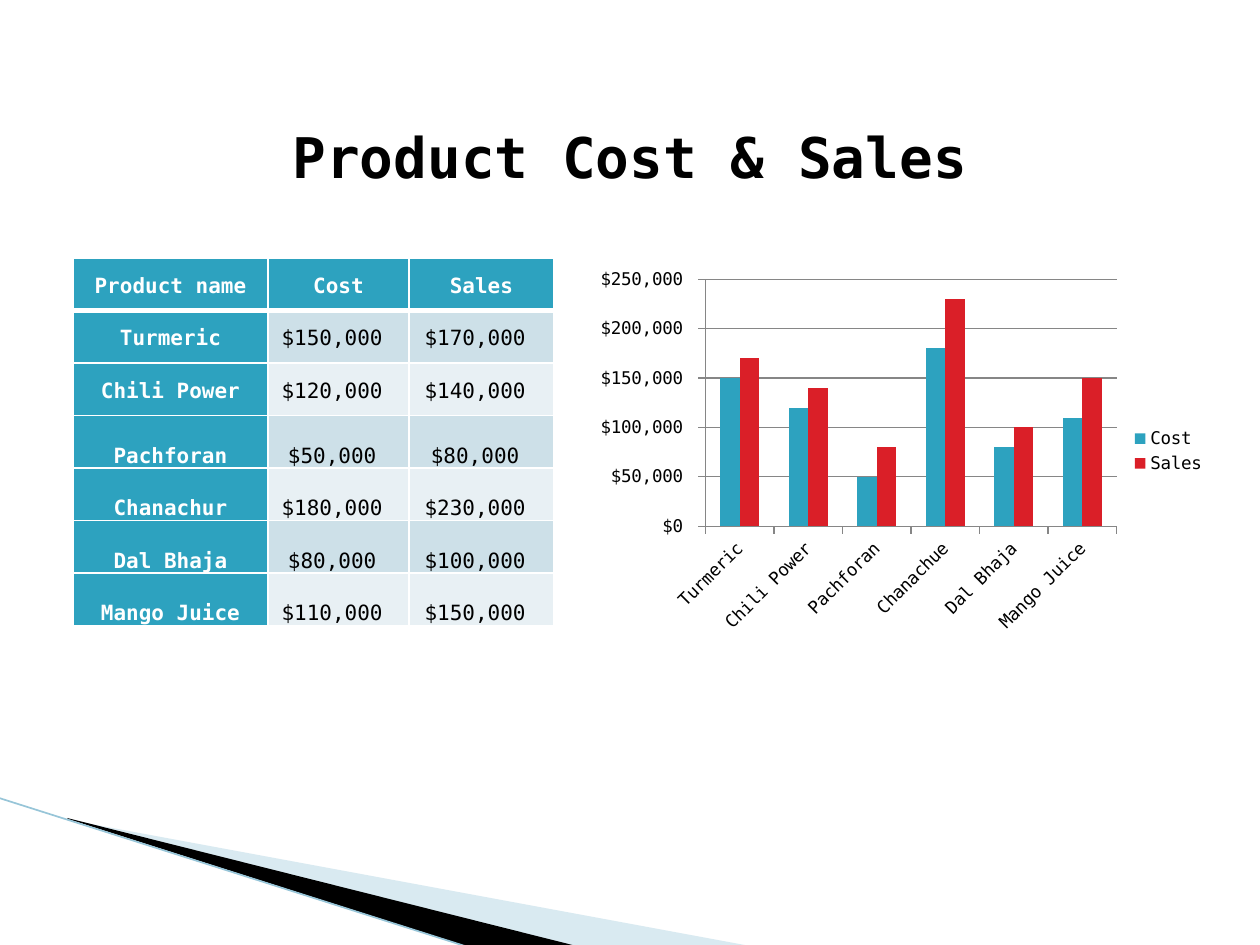
from dataclasses import dataclass

from lxml import etree
from pptx import Presentation
from pptx.chart.data import CategoryChartData
from pptx.dml.color import RGBColor
from pptx.enum.chart import XL_CHART_TYPE, XL_LEGEND_POSITION, XL_TICK_MARK
from pptx.enum.shapes import MSO_CONNECTOR
from pptx.enum.text import MSO_ANCHOR, MSO_AUTO_SIZE, PP_ALIGN
from pptx.oxml.ns import qn
from pptx.util import Pt

COLUMNS = XL_CHART_TYPE.COLUMN_CLUSTERED
LEGEND_RIGHT = XL_LEGEND_POSITION.RIGHT
TICK_OUT = XL_TICK_MARK.OUTSIDE
STRAIGHT = MSO_CONNECTOR.STRAIGHT
MIDDLE, BOTTOM = MSO_ANCHOR.MIDDLE, MSO_ANCHOR.BOTTOM
GROW = MSO_AUTO_SIZE.SHAPE_TO_FIT_TEXT
CENTER = PP_ALIGN.CENTER
PX = 914400 / 126


@dataclass(frozen=True)
class Theme:
    font: str = "DejaVu Sans Mono"
    title_size: int = 32
    table_size: int = 12
    chart_size: int = 10
    ink: str = "000000"
    paper: str = "FFFFFF"
    cost: str = "2DA2BF"
    sales: str = "DA1F28"
    bands: tuple = ("CDE0E8", "E8F0F4")
    axis: str = "868686"
    wave: str = "A0CBDC"
    wave_edge: str = "97C5D8"


THEME = Theme()
PRODUCTS = ["Turmeric", "Chili Power", "Pachforan", "Chanachur", "Dal Bhaja", "Mango Juice"]
CHART_PRODUCTS = ["Chanachue" if name == "Chanachur" else name for name in PRODUCTS]
COSTS = [150000, 120000, 50000, 180000, 80000, 110000]
SALES = [170000, 140000, 80000, 230000, 100000, 150000]


def emu(*lengths):
    return [round(length * PX) for length in lengths]


def rgb(color):
    return RGBColor.from_string(color)


def style_font(font, size, color, bold=False):
    settings = {"name": THEME.font, "size": Pt(size), "bold": bold}
    for attribute, value in settings.items():
        setattr(font, attribute, value)
    font.color.rgb = rgb(color)


def set_borders(cell, widths):
    """Put white borders on the cell; widths maps L, R, T, B to points."""
    properties = cell._tc.get_or_add_tcPr()
    for index, (side, width) in enumerate(widths.items()):
        line = etree.Element(qn(f"a:ln{side}"), w=str(Pt(width)))
        fill = etree.SubElement(line, qn("a:solidFill"))
        etree.SubElement(fill, qn("a:srgbClr"), val=THEME.paper)
        properties.insert(index, line)


def add_wedge(slide, points, color, opacity=100):
    start, *others = [emu(*point) for point in points]
    builder = slide.shapes.build_freeform(*start)
    builder.add_line_segments(others, close=True)
    wedge = builder.convert_to_shape()
    wedge.shadow.inherit = False
    wedge.fill.solid()
    wedge.fill.fore_color.rgb = rgb(color)
    wedge.line.fill.background()
    if opacity < 100:
        color_node = wedge._element.spPr.find(f".//{qn('a:srgbClr')}")
        etree.SubElement(color_node, qn("a:alpha"), val=str(opacity * 1000))


def add_corner_wave(slide, left, top):
    def shift(*points):
        return [(left + x, top + y) for x, y in points]

    add_wedge(slide, shift((70, 22), (751, 148), (576, 148), (70, 21)), THEME.wave, 40)
    add_wedge(slide, shift((68, 20), (577, 148), (470, 149), (69, 21)), THEME.ink)
    (x1, y1), (x2, y2) = shift((0, 0), (469, 149))
    edge = slide.shapes.add_connector(STRAIGHT, *emu(x1, y1, x2, y2))
    edge.line.width = Pt(0.95)
    edge.line.color.rgb = rgb(THEME.wave_edge)
    etree.SubElement(edge._element.spPr, qn("a:effectLst"))


def add_title(slide, box):
    frame = slide.shapes.add_textbox(*emu(*box)).text_frame
    for attribute, value in {"word_wrap": True, "auto_size": GROW}.items():
        setattr(frame, attribute, value)
    paragraph = frame.paragraphs[0]
    paragraph.text = "Product Cost & Sales"
    paragraph.alignment = CENTER
    style_font(paragraph.font, THEME.title_size, THEME.ink, bold=True)


def fill_cell(cell, text, row, column):
    heading = row == 0 or column == 0
    side_margin = emu(9)[0]
    settings = {
        "text": text,
        "vertical_anchor": MIDDLE if row < 3 else BOTTOM,
        "margin_left": side_margin,
        "margin_right": side_margin,
        "margin_top": 0,
        "margin_bottom": 0,
    }
    for attribute, value in settings.items():
        setattr(cell, attribute, value)
    cell.fill.solid()
    cell.fill.fore_color.rgb = rgb(THEME.cost if heading else THEME.bands[(row - 1) % 2])
    set_borders(cell, {"L": 1, "R": 1, "T": 3 if row == 1 else 1, "B": 3 if row == 0 else 1})
    paragraph = cell.text_frame.paragraphs[0]
    paragraph.alignment = CENTER
    paragraph.line_spacing = 1.15
    style_font(paragraph.font, THEME.table_size, THEME.paper if heading else THEME.ink, heading)


def add_product_table(slide, box, column_widths):
    rows = [("Product name", "Cost", "Sales")]
    rows += [(name, f"${cost:,} ", f"${sales:,} ")
             for name, cost, sales in zip(PRODUCTS, COSTS, SALES)]
    table = slide.shapes.add_table(len(rows), len(column_widths), *emu(*box)).table
    for column, width in zip(table.columns, emu(*column_widths)):
        column.width = width
    for r, texts in enumerate(rows):
        for c, text in enumerate(texts):
            fill_cell(table.cell(r, c), text, r, c)


def add_product_chart(slide, box):
    data = CategoryChartData()
    data.categories = CHART_PRODUCTS
    data.add_series("Cost", COSTS)
    data.add_series("Sales", SALES)
    chart = slide.shapes.add_chart(COLUMNS, *emu(*box), data).chart
    chart.has_title = False
    chart.has_legend = True
    for attribute, value in {"position": LEGEND_RIGHT, "include_in_layout": False}.items():
        setattr(chart.legend, attribute, value)
    style_font(chart.font, THEME.chart_size, THEME.ink)

    plot = chart.plots[0]
    for attribute, value in {"gap_width": 150, "overlap": 0, "vary_by_categories": False}.items():
        setattr(plot, attribute, value)
    for series, color in zip(plot.series, (THEME.cost, THEME.sales)):
        series.format.fill.solid()
        series.format.fill.fore_color.rgb = rgb(color)

    values = chart.value_axis
    values.has_major_gridlines = True
    values.tick_labels.number_format = r'"$"#,##0_);[Red]\("$"#,##0\)'
    values.tick_labels.number_format_is_linked = False
    for axis in (chart.category_axis, values):
        axis.major_tick_mark = TICK_OUT
        axis.format.line.color.rgb = rgb(THEME.axis)
    values.major_gridlines.format.line.color.rgb = rgb(THEME.axis)


def main():
    deck = Presentation()
    deck.slide_width, deck.slide_height = emu(1260, 945)
    slide = deck.slides.add_slide(deck.slide_layouts[6])
    add_corner_wave(slide, -1, 798)
    add_title(slide, (168, 116, 924, 81))
    add_product_table(slide, (73, 258, 481, 368), (195, 141, 145))
    add_product_chart(slide, (588, 262, 630, 378))
    deck.save("out.pptx")


if __name__ == "__main__":
    main()
